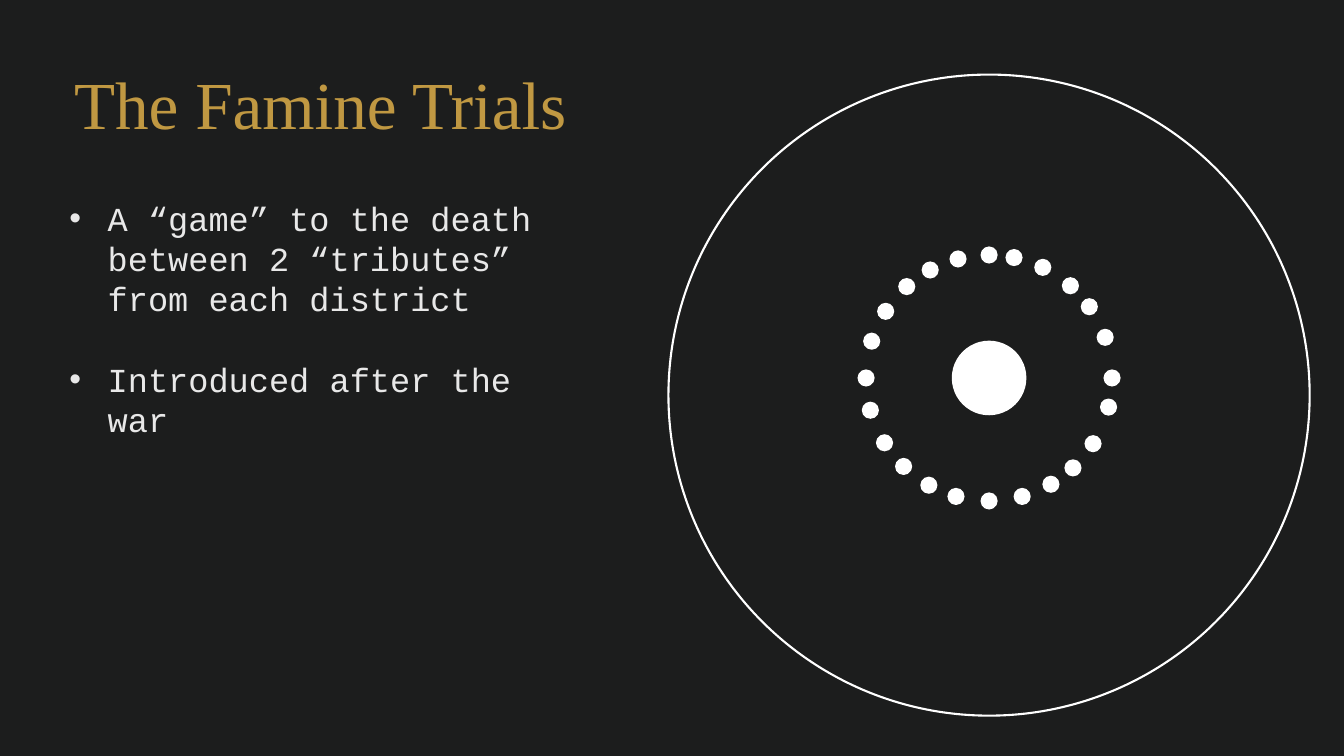
from dataclasses import dataclass
from math import cos, radians, sin

from lxml import etree
from pptx import Presentation
from pptx.dml.color import RGBColor
from pptx.enum import shapes, text
from pptx.oxml import ns
from pptx.util import Inches, Pt


@dataclass(frozen=True)
class Theme:
    """Colours, fonts and type sizes of the slide."""
    background: RGBColor = RGBColor.from_string("1C1D1D")
    gold: RGBColor = RGBColor.from_string("C09842")
    body: RGBColor = RGBColor.from_string("E8E8E8")
    white: RGBColor = RGBColor.from_string("FFFFFF")
    title_font: str = "Times New Roman"
    body_font: str = "Courier New"
    title_size: int = 48
    body_size: int = 24


THEME = Theme()
DOT_ANGLES = (0, 11.7, 25.9, 41.4, 54.6, 70.7, 90, 103.7, 122.3, 137, 149.8, 164.4,
              180, 195.6, 209.3, 224, 238.2, 254.8, 270, 287.4, 302.8, 318, 331.4, 345.4)


def apply_format(target, values):
    """Set every attribute named in a dict of format values."""
    for name, value in values.items():
        setattr(target, name, value)


def add_text(slide, box, paragraphs, anchor, font, color, layout, bullet=False):
    """Add a wrapped text box with one format for all its paragraphs."""
    frame = slide.shapes.add_textbox(*map(Inches, box)).text_frame
    apply_format(frame, {"word_wrap": True, "vertical_anchor": anchor})
    for index, words in enumerate(paragraphs):
        paragraph = frame.add_paragraph() if index else frame.paragraphs[0]
        paragraph.text = words
        if bullet:
            add_bullet(paragraph)
        apply_format(paragraph, layout)
        run_font = paragraph.runs[0].font
        apply_format(run_font, font)
        run_font.color.rgb = color
    return frame


def add_bullet(paragraph):
    """Give a paragraph a round bullet and a hanging indent."""
    properties = paragraph._p.get_or_add_pPr()
    properties.set("marL", str(Inches(0.38)))
    properties.set("indent", str(-Inches(0.38)))
    etree.SubElement(properties, ns.qn("a:buFont"), typeface="Arial")
    etree.SubElement(properties, ns.qn("a:buChar"), char="•")


def add_title(slide, box):
    """Place the slide title in its box."""
    add_text(slide, box, ["The Famine Trials"], text.MSO_ANCHOR.MIDDLE,
             {"name": THEME.title_font, "size": Pt(THEME.title_size)}, THEME.gold,
             {"alignment": text.PP_ALIGN.CENTER, "line_spacing": 0.9})


def add_facts(slide, box):
    """Place the bulleted facts in their box."""
    facts = ["A “game” to the death between 2 “tributes” from each district",
             "Introduced after the war"]
    frame = add_text(slide, box, facts, text.MSO_ANCHOR.TOP,
                     {"name": THEME.body_font, "size": Pt(THEME.body_size)}, THEME.body,
                     {"line_spacing": Pt(28.8)}, bullet=True)
    frame.paragraphs[1].space_before = Pt(28.8)


def add_circle(slide, center_x, center_y, diameter, filled=True):
    """Draw a white disc or an outlined circle about a centre."""
    corner = (center_x - diameter / 2, center_y - diameter / 2)
    circle = slide.shapes.add_shape(shapes.MSO_SHAPE.OVAL,
                                    *map(Inches, (*corner, diameter, diameter)))
    circle.shadow.inherit = False
    if filled:
        circle.fill.solid()
        circle.fill.fore_color.rgb = THEME.white
        circle.line.fill.background()
    else:
        circle.fill.background()
        circle.line.color.rgb = THEME.white
        circle.line.width = Pt(1.5)


def add_arena(slide, box):
    """Draw the arena: outer edge, central disc and the ring of tributes."""
    left, top, width, height = box
    center_x, center_y = left + width / 2, top + height / 2
    hub_y = center_y - 0.17
    add_circle(slide, center_x, hub_y, 0.74)
    add_circle(slide, center_x, center_y, width, filled=False)
    for angle in map(radians, DOT_ANGLES):
        add_circle(slide, center_x + 1.22 * sin(angle), hub_y - 1.22 * cos(angle), 0.17)


def main():
    """Build the slide and save the presentation."""
    presentation = Presentation()
    apply_format(presentation, {"slide_width": Inches(13.33), "slide_height": Inches(7.5)})
    slide = presentation.slides.add_slide(presentation.slide_layouts[6])
    slide.background.fill.solid()
    slide.background.fill.fore_color.rgb = THEME.background
    add_title(slide, (0.23, 0.34, 5.9, 1.45))
    add_arena(slide, (6.63, 0.74, 6.36, 6.36))
    add_facts(slide, (0.59, 1.91, 4.8, 2.52))
    presentation.save("out.pptx")


if __name__ == "__main__":
    main()
